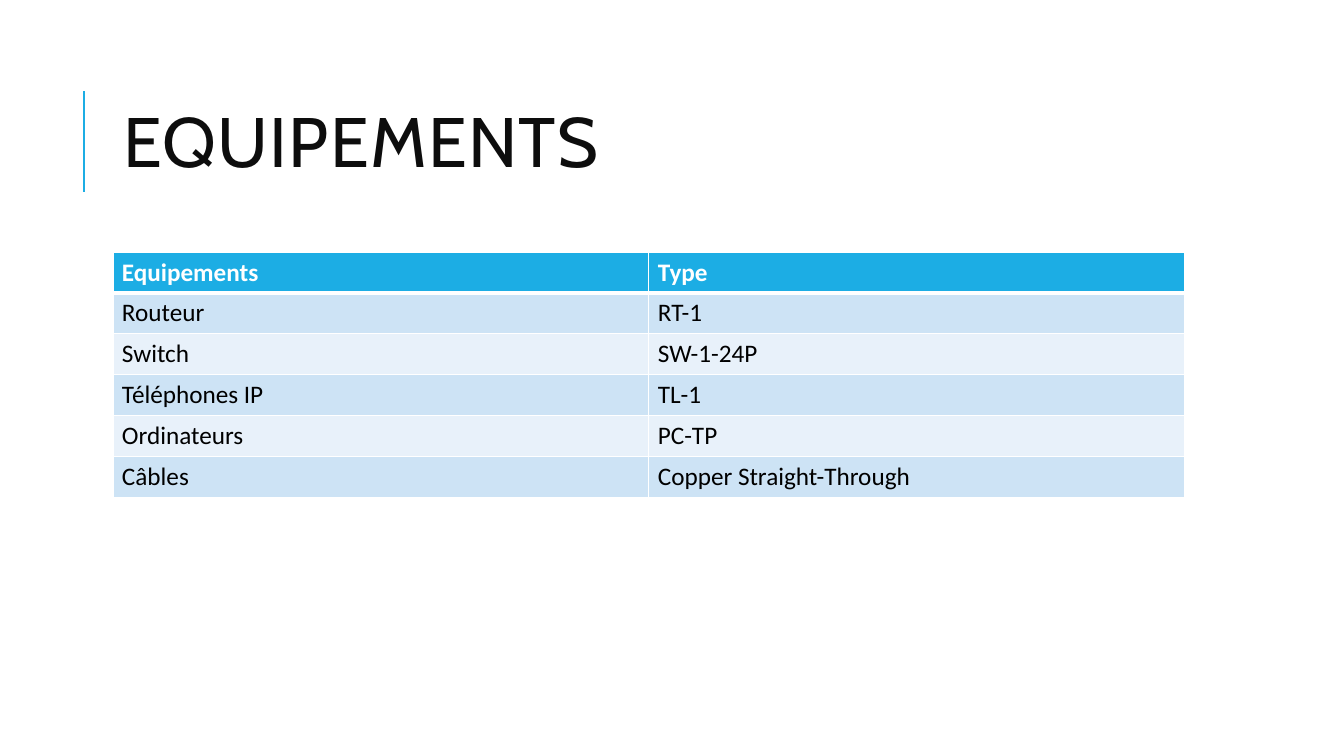
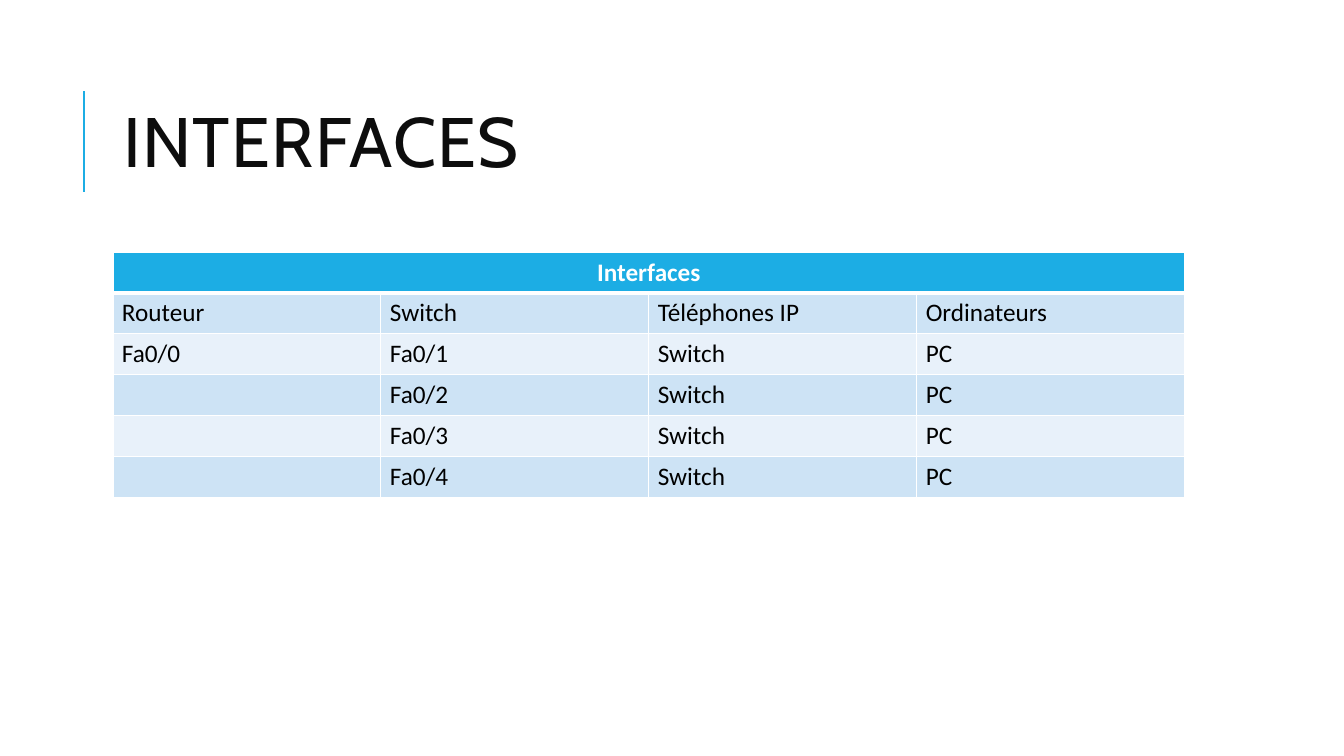
from lxml import etree
from pptx import Presentation
from pptx import util as u
from pptx.dml.color import RGBColor
from pptx.enum import shapes, text
from pptx.oxml.ns import qn

COLORS = {
    "accent": "1CADE4",
    "title": "0D0D0D",
    "body": "000000",
    "white": "FFFFFF",
    "band_dark": "CDE3F5",
    "band_light": "E8F1FA",
}
TITLE_FONT, BODY_FONT = "Cabin", "Calibri"
LEFT, WIDTH = 1.12, 10.63
TABLE_TOP, TABLE_HEIGHT = 2.5, 2.43
THIN, THICK = 1, 3

EQUIPMENT = [
    ["Equipements", "Type"],
    ["Routeur", "RT-1"],
    ["Switch", "SW-1-24P"],
    ["Téléphones IP", "TL-1"],
    ["Ordinateurs", "PC-TP"],
    ["Câbles", "Copper Straight-Through"],
]
INTERFACES = [
    ["Interfaces", "", "", ""],
    ["Routeur", "Switch", "Téléphones IP", "Ordinateurs"],
] + [["Fa0/0" if n == 1 else "", f"Fa0/{n}", "Switch", "PC"] for n in range(1, 5)]


def rgb(name):
    return RGBColor.from_string(COLORS[name])


def style_run(r, font, size, color, bold=False):
    r.font.name, r.font.size, r.font.bold = font, u.Pt(size), bold
    r.font.color.rgb = rgb(color)


def add_title(s, title):
    # Accent rule beside the title
    line = s.shapes.add_connector(
        shapes.MSO_CONNECTOR.STRAIGHT,
        u.Inches(0.83), u.Inches(1.9), u.Inches(0.83), u.Inches(0.9))
    line.line.color.rgb = rgb("accent")
    line.line.width = u.Pt(1.5)
    etree.SubElement(line._element.spPr, qn("a:effectLst"))

    # Title placeholder
    sp = s.shapes.title
    sp.left, sp.top = u.Inches(LEFT), u.Inches(0.64)
    sp.width, sp.height = u.Inches(WIDTH), u.Inches(1.64)
    tf = sp.text_frame
    tf.text = title
    tf.auto_size = text.MSO_AUTO_SIZE.NONE
    tf.vertical_anchor = text.MSO_ANCHOR.MIDDLE
    p = tf.paragraphs[0]
    p.alignment = text.PP_ALIGN.LEFT
    p.line_spacing = 0.8
    style_run(p.runs[0], TITLE_FONT, 50, "title")
    p.runs[0].font._element.set("spc", "100")


def set_borders(cell, top, bottom):
    tcPr = cell._tc.get_or_add_tcPr()
    for side, width in (("L", THIN), ("R", THIN), ("T", top), ("B", bottom)):
        ln = etree.SubElement(tcPr, qn(f"a:ln{side}"), w=str(u.Pt(width)))
        fill = etree.SubElement(ln, qn("a:solidFill"))
        etree.SubElement(fill, qn("a:srgbClr"), val=COLORS["white"])


def format_cell(cell, value, row):
    header = row == 0
    set_borders(cell, THICK if row == 1 else THIN, THICK if header else THIN)
    cell.fill.solid()
    band = "band_dark" if row % 2 else "band_light"
    cell.fill.fore_color.rgb = rgb("accent" if header else band)
    cell.margin_left = cell.margin_right = u.Inches(0.09)
    cell.margin_top = cell.margin_bottom = u.Inches(0.05)
    if value:
        cell.text_frame.text = value
        style_run(cell.text_frame.paragraphs[0].runs[0], BODY_FONT, 18,
                  "white" if header else "body", header)


def add_table(s, rows, merge_header=False):
    n_cols = len(rows[0])
    table = s.shapes.add_table(
        len(rows), n_cols, u.Inches(LEFT), u.Inches(TABLE_TOP),
        u.Inches(WIDTH), u.Inches(TABLE_HEIGHT)).table
    for i, values in enumerate(rows):
        for j, value in enumerate(values):
            format_cell(table.cell(i, j), value, i)
    if merge_header:
        first = table.cell(0, 0)
        first.merge(table.cell(0, n_cols - 1))
        first.text_frame.paragraphs[0].alignment = text.PP_ALIGN.CENTER


def main():
    prs = Presentation()
    prs.slide_width, prs.slide_height = u.Inches(13.33), u.Inches(7.5)
    title_only = prs.slide_layouts[5]
    for title, rows, merge_header in (
        ("EQUIPEMENTS", EQUIPMENT, False),
        ("INTERFACES", INTERFACES, True),
    ):
        s = prs.slides.add_slide(title_only)
        add_title(s, title)
        add_table(s, rows, merge_header)
    prs.save("out.pptx")


if __name__ == "__main__":
    main()
